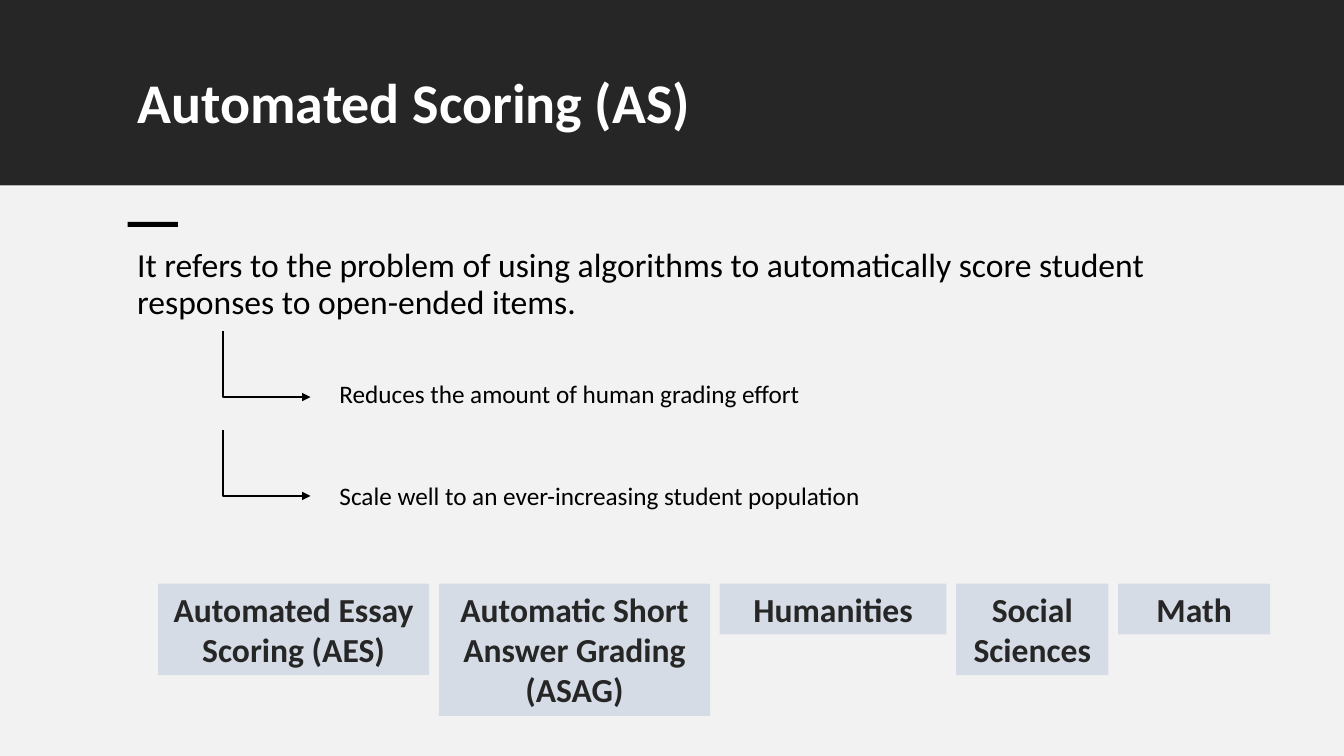
from lxml.etree import SubElement
from pptx import Presentation
from pptx.dml.color import RGBColor
from pptx.enum.shapes import MSO_CONNECTOR as CONNECTOR, MSO_SHAPE as SHAPE
from pptx.enum.text import MSO_ANCHOR as ANCHOR, MSO_AUTO_SIZE as AUTO_SIZE, PP_ALIGN as ALIGN
from pptx.oxml import parse_xml
from pptx.oxml.ns import nsdecls, qn
from pptx.util import Pt

BLACK = RGBColor(0x00, 0x00, 0x00)
WHITE = RGBColor(0xFF, 0xFF, 0xFF)
CHARCOAL = RGBColor(0x26, 0x26, 0x26)
PALE_GREY = RGBColor(0xF2, 0xF2, 0xF2)
PALE_BLUE = RGBColor(0xD6, 0xDC, 0xE5)

prs = Presentation()
prs.slide_width, prs.slide_height = Pt(960), Pt(540)
slide = prs.slides.add_slide(prs.slide_layouts[5])
shapes = slide.shapes


def add_block(left, top, width, height, color):
    block = shapes.add_shape(SHAPE.RECTANGLE, Pt(left), Pt(top), Pt(width), Pt(height))
    block.shadow.inherit = False
    block.fill.solid()
    block.fill.fore_color.rgb = color
    block.line.fill.background()
    return block


def write(frame, text, size, color, bold=False):
    frame.word_wrap = True
    frame.vertical_anchor = ANCHOR.TOP
    run = frame.paragraphs[0].add_run()
    run.text = text
    run.font.name = "Calibri"
    run.font.size = Pt(size)
    run.font.bold = bold
    run.font.color.rgb = color
    return run


header = add_block(0, -0.7, 960, 133.2, CHARCOAL)
title = shapes.title
title.element.addprevious(header.element)
title.left, title.top, title.width, title.height = Pt(91.1), Pt(50.4), Pt(414), Pt(70.6)
write(title.text_frame, "Automated Scoring (AS)", 40, WHITE, True)
title.text_frame.auto_size = AUTO_SIZE.NONE
title.text_frame.paragraphs[0].alignment = ALIGN.LEFT
title.text_frame.paragraphs[0].line_spacing = 0.9

add_block(0, 133.2, 960, 406.8, PALE_GREY)
add_block(91.1, 158.4, 36, 3.6, BLACK)

definition = shapes.add_textbox(Pt(90.9), Pt(174.2), Pt(778.3), Pt(311.8))
write(
    definition.text_frame,
    "It refers to the problem of using algorithms to automatically score student "
    "responses to open-ended items.",
    24,
    BLACK,
)
definition.text_frame.paragraphs[0].line_spacing = 0.9
definition.text_frame.paragraphs[0].space_before = Pt(10)

benefits = [
    ("Reduces the amount of human grading effort", 236.3, 266.4, 347),
    ("Scale well to an ever-increasing student population", 307, 339.8, 396.7),
]
for benefit, arrow_top, text_top, text_width in benefits:
    arrow = shapes.add_connector(
        CONNECTOR.ELBOW, Pt(159.5), Pt(arrow_top), Pt(221.8), Pt(arrow_top + 47.3)
    )
    arrow.line.color.rgb = BLACK
    arrow.line.width = Pt(1.5)
    SubElement(arrow.line._get_or_add_ln(), qn("a:tailEnd"), type="triangle")
    properties = arrow.element.spPr
    SubElement(properties, qn("a:effectLst"))
    bend = properties.find(qn("a:prstGeom")).find(qn("a:avLst"))
    SubElement(bend, qn("a:gd"), name="adj1", fmla="val 0")

    label = shapes.add_textbox(Pt(235.4), Pt(text_top), Pt(text_width), Pt(29.1))
    write(label.text_frame, benefit, 18, BLACK)
    label.text_frame.auto_size = AUTO_SIZE.SHAPE_TO_FIT_TEXT

fields = [
    ("Automated Essay Scoring (AES)", 193.7, 65.4),
    ("Automatic Short Answer Grading (ASAG)", 193.7, 94.5),
    ("Humanities", 162, 36.3),
    ("Social Sciences", 108.7, 65.4),
    ("Math", 108.7, 36.3),
]
field_left = 112.9
field_gap = 6.9
for field, width, height in fields:
    card = add_block(field_left, 416.9, width, height, PALE_BLUE)
    run = write(card.text_frame, field, 24, CHARCOAL, True)
    card.text_frame.auto_size = AUTO_SIZE.SHAPE_TO_FIT_TEXT
    card.text_frame.paragraphs[0].alignment = ALIGN.CENTER
    outline = parse_xml(
        f'<a:ln {nsdecls("a")} w="13462"><a:solidFill>'
        f'<a:srgbClr val="{WHITE}"/></a:solidFill></a:ln>'
    )
    run.font.color.rgb = CHARCOAL
    card.text_frame.paragraphs[0].runs[0].font.fill.solid()
    run.font.fill.fore_color.rgb = CHARCOAL
    run_properties = card.element.find(".//" + qn("a:rPr"))
    run_properties.insert(0, outline)
    field_left += width + field_gap

prs.save("out.pptx")
